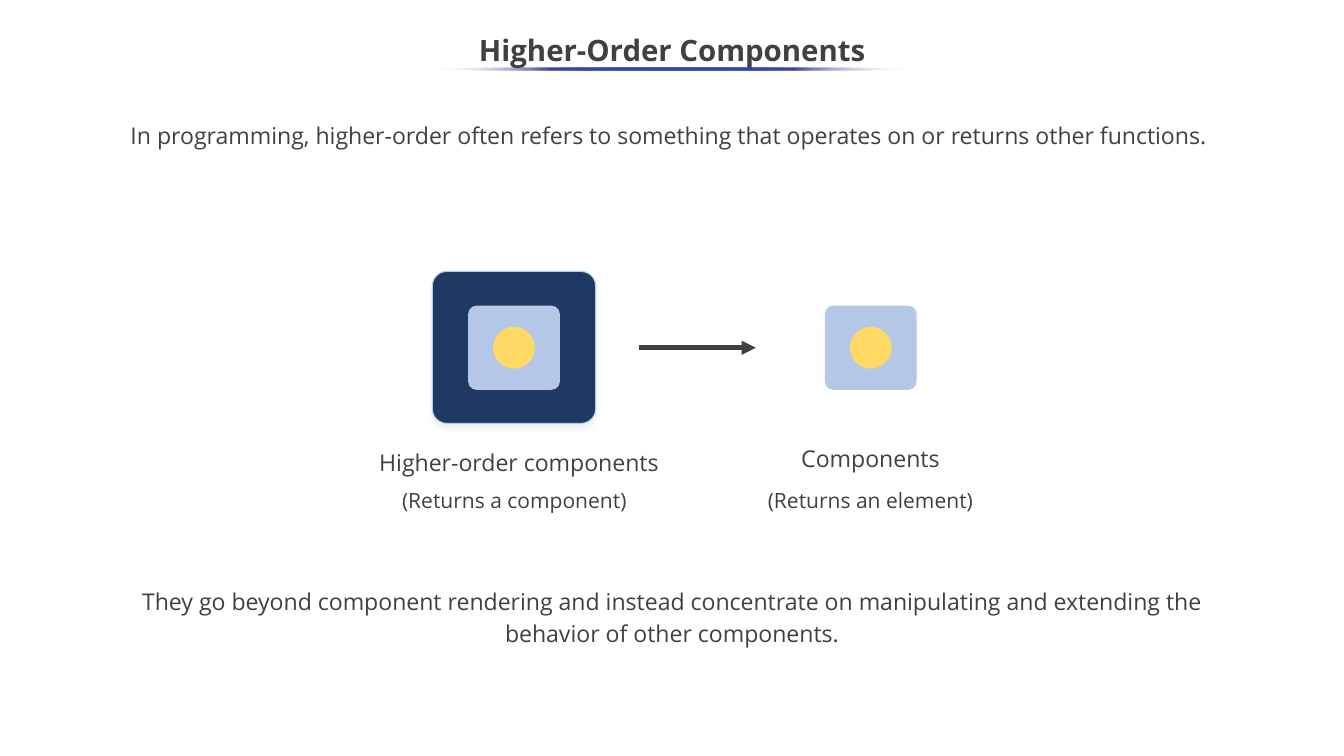
from lxml import etree
from pptx import Presentation
from pptx.dml.color import RGBColor
from pptx.enum.shapes import MSO_CONNECTOR, MSO_SHAPE
from pptx.enum.text import MSO_ANCHOR, PP_ALIGN
from pptx.oxml import parse_xml
from pptx.oxml.ns import nsdecls, qn
from pptx.util import Inches, Pt

ROUNDED, ELLIPSE = MSO_SHAPE.ROUNDED_RECTANGLE, MSO_SHAPE.OVAL
STRAIGHT = MSO_CONNECTOR.STRAIGHT
CENTER = PP_ALIGN.CENTER
TOP, MIDDLE = MSO_ANCHOR.TOP, MSO_ANCHOR.MIDDLE

FONT = "Open Sans"
COLORS = {
    "text": "404040",
    "wrapper": "203864",
    "wrapper_edge": "A8D3EE",
    "wrapper_shadow": "F2F2F2",
    "component": "B4C7E7",
    "element": "FFD966",
    "rule": "3645A9",
    "rule_end": "FFFFFF",
}


def color(name):
    return RGBColor.from_string(COLORS[name])


class PageBuilder:
    """Holds the style and the current page."""

    def __init__(self, page):
        self.page = page

    def text(self, words, left, top, width, height, size=22, bold=False,
             anchor=TOP, spacing=1.15, margin=0.05):
        box = self.page.shapes.add_textbox(
            Inches(left), Inches(top), Inches(width), Inches(height))
        frame = box.text_frame
        frame.word_wrap = True
        frame.vertical_anchor = anchor
        frame.margin_top = frame.margin_bottom = Inches(margin)
        para = frame.paragraphs[0]
        para.alignment = CENTER
        para.line_spacing = spacing
        span = para.add_run()
        span.text = words
        span.font.name = FONT
        span.font.size = Pt(size)
        span.font.bold = bold
        span.font.color.rgb = color("text")

    def shape(self, kind, left, top, width, height, fill, edge=None):
        shape = self.page.shapes.add_shape(
            kind, Inches(left), Inches(top), Inches(width), Inches(height))
        shape.shadow.inherit = False
        shape.fill.solid()
        shape.fill.fore_color.rgb = color(fill)
        shape.line.color.rgb = color(edge or fill)
        shape.line.width = Pt(1)
        if kind == ROUNDED:
            shape.adjustments[0] = 0.095
        return shape

    def wrapper(self, left, top, width, height):
        """Draw the dark box with a soft shadow below it."""
        shape = self.shape(ROUNDED, left, top, width, height, "wrapper", "wrapper_edge")
        effects = shape.element.spPr.find(qn("a:effectLst"))
        effects.append(parse_xml(
            f'<a:outerShdw {nsdecls("a")} blurRad="{Pt(4)}" dist="{Pt(4)}" dir="5400000">'
            f'<a:srgbClr val="{COLORS["wrapper_shadow"]}"/></a:outerShdw>'))

    def component(self, left, top):
        """Draw a component box with its element inside."""
        self.shape(ROUNDED, left, top, 1.2, 1.1, "component")
        self.shape(ELLIPSE, left + 0.33, top + 0.28, 0.54, 0.54, "element")

    def arrow(self, start, end, y):
        arrow = self.page.shapes.add_connector(
            STRAIGHT, Inches(start), Inches(y), Inches(end), Inches(y))
        arrow.line.color.rgb = color("text")
        arrow.line.width = Pt(4.5)
        properties = arrow._element.spPr
        etree.SubElement(properties.find(qn("a:ln")), qn("a:tailEnd"), type="triangle")
        etree.SubElement(properties, qn("a:effectLst"))

    def rule(self, left, top, width, height):
        """Draw a thin ellipse that fades out at both ends."""
        shape = self.shape(ELLIPSE, left, top, width, height, "rule")
        shape.line.fill.background()
        clear = '<a:alpha val="0"/>'
        stops = [(0, "rule_end", clear), (25, "rule", ""), (75, "rule", ""),
                 (100, "rule_end", clear)]
        gradient = "".join(
            f'<a:gs pos="{place * 1000}"><a:srgbClr val="{COLORS[name]}">{alpha}</a:srgbClr></a:gs>'
            for place, name, alpha in stops)
        properties = shape.element.spPr
        properties.replace(properties.find(qn("a:solidFill")), parse_xml(
            f'<a:gradFill {nsdecls("a")} rotWithShape="1"><a:gsLst>{gradient}</a:gsLst>'
            '<a:lin ang="10800000" scaled="0"/></a:gradFill>'))


def main():
    deck = Presentation()
    deck.slide_width, deck.slide_height = Inches(17.78), Inches(10)
    builder = PageBuilder(deck.slides.add_slide(deck.slide_layouts[6]))

    builder.text("In programming, higher-order often refers to something that operates on "
                 "or returns other functions. ", 1.57, 1.55, 14.63, 0.99,
                 spacing=1.14, margin=0)
    builder.text("They go beyond component rendering and instead concentrate on "
                 "manipulating and extending the behavior of other components.",
                 1.26, 7.67, 15.26, 0.93)

    builder.wrapper(5.72, 3.59, 2.16, 2.01)
    for left in (6.2, 10.92):
        builder.component(left, 4.05)
    builder.arrow(8.46, 10, 4.6)

    builder.text("Higher-order components", 4.24, 5.83, 5.25, 0.5)
    builder.text("Components", 10, 5.83, 3.03, 0.47, spacing=1.0)
    for words, left in (("(Returns a component)", 4.78), ("(Returns an element)", 9.49)):
        builder.text(words, left, 6.36, 4.05, 0.46, size=20, anchor=MIDDLE)

    builder.text("Higher-Order Components", 0, 0.31, 17.78, 0.75, size=28, bold=True,
                 anchor=MIDDLE, spacing=0.9)
    builder.rule(5.69, 0.89, 6.39, 0.04)

    deck.save("out.pptx")


if __name__ == "__main__":
    main()
